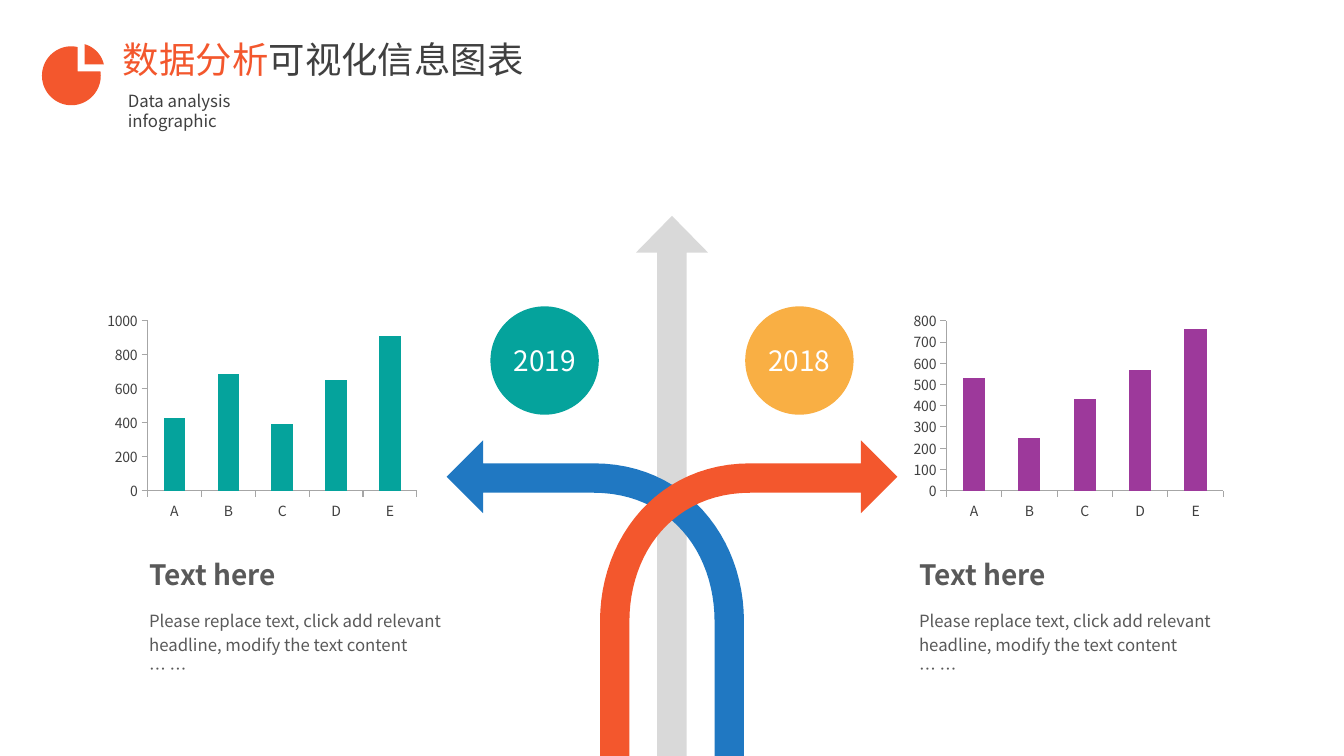
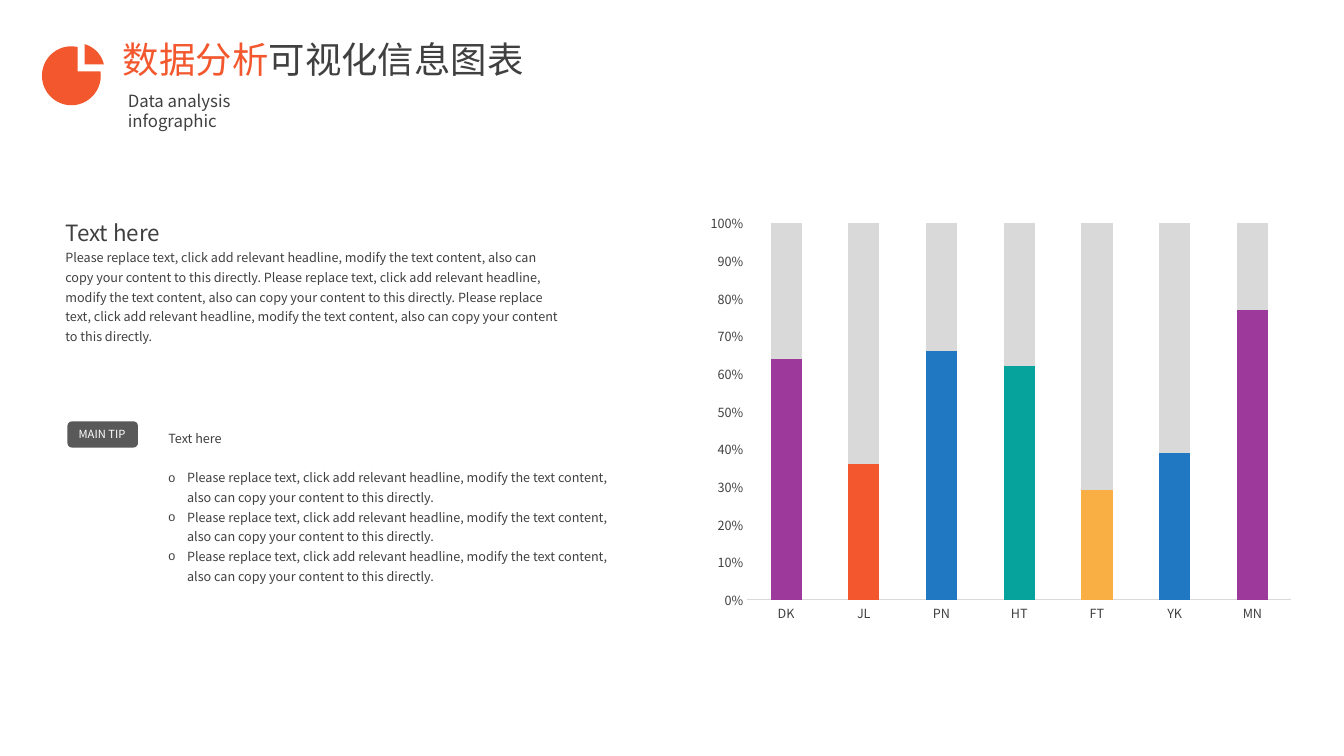
from lxml.etree import SubElement
from pptx import Presentation
from pptx.chart.data import CategoryChartData
from pptx.dml.color import RGBColor
from pptx.enum.chart import XL_CHART_TYPE, XL_TICK_MARK
from pptx.enum.shapes import MSO_SHAPE
from pptx.enum.text import MSO_ANCHOR, MSO_AUTO_SIZE, PP_ALIGN
from pptx.oxml.ns import qn
from pptx.util import Pt

FONT = "Noto Sans CJK SC"
ORANGE, BLUE, TEAL = "F3572D", "2078C2", "05A39C"
AMBER, PURPLE, WHITE = "F9AF44", "9D399B", "FFFFFF"
DARK, GREY, AXIS, LIGHT = "404040", "595959", "A6A6A6", "D9D9D9"
MIDDLE_X, BOTTOM_Y = 480, 540
TITLE_ONLY, TITLE_AND_BODY = 5, 1

REPLACE = "Please replace text, click add relevant headline, modify the text content"
COPY = REPLACE + ", also can copy your content to this directly."


def paint(target, color):
    """Give a fill, or the fill of a line, one solid colour."""
    target.solid()
    target.fore_color.rgb = RGBColor.from_string(color)


def box(left, top, width, height):
    return Pt(left), Pt(top), Pt(width), Pt(height)


def curve(start, control1, control2, end, steps=24):
    """Points along a cubic curve."""
    points = []
    for step in range(steps + 1):
        t = step / steps
        u = 1 - t
        weights = (u ** 3, 3 * u * u * t, 3 * u * t * t, t ** 3)
        corners = (start, control1, control2, end)
        points.append(tuple(sum(w * c[axis] for w, c in zip(weights, corners))
                            for axis in (0, 1)))
    return points


def write(frame, *paragraphs, size=12, color=DARK, bold=False, spacing=None,
          align=PP_ALIGN.LEFT, anchor=MSO_ANCHOR.TOP, wrap=True, margin=7.2):
    """Fill a frame; a paragraph is a string or a list of (text, size, color)."""
    frame.word_wrap = wrap
    frame.auto_size = MSO_AUTO_SIZE.NONE
    frame.vertical_anchor = anchor
    frame.margin_left = frame.margin_right = Pt(margin)
    for index, content in enumerate(paragraphs):
        paragraph = frame.add_paragraph() if index else frame.paragraphs[0]
        paragraph.alignment = align
        paragraph.space_before = Pt(0)
        if spacing:
            paragraph.line_spacing = spacing
        runs = [(content, size, color)] if isinstance(content, str) else content
        for text, run_size, run_color in runs:
            run = paragraph.add_run()
            run.text = text
            run.font.size = Pt(run_size)
            run.font.bold = bold
            run.font.name = FONT
            paint(run.font.fill, run_color)
            SubElement(run._r.get_or_add_rPr(), qn("a:ea"), typeface=FONT)


class Deck:
    """The presentation, its style and the current slide."""

    def __init__(self):
        self.presentation = Presentation()
        self.presentation.slide_width = Pt(960)
        self.presentation.slide_height = Pt(BOTTOM_Y)
        self.slide = None

    def add_slide(self, layout):
        layouts = self.presentation.slide_layouts
        self.slide = self.presentation.slides.add_slide(layouts[layout])
        self.header()

    def header(self):
        """Pie icon, two-colour title and subtitle."""
        pie = (curve((55.4, 33.7), (54, 33.3), (52.6, 33.1), (51, 33.1))
               + curve((51, 33.1), (39.4, 33.1), (30, 42.5), (30, 54.1))
               + curve((30, 54.1), (30, 65.7), (39.4, 75.2), (51, 75.2))
               + curve((51, 75.2), (62.6, 75.2), (72, 65.7), (72, 54.1))
               + [(71.8, 51.1), (55.4, 51.1)])
        wedge = curve((60.5, 31.6), (67.4, 33.6), (72.7, 39.2), (74.2, 46.1))
        self.outline(ORANGE, pie, wedge + [(60.5, 46.1)])
        title = self.slide.shapes.title
        title.left, title.top, title.width, title.height = box(80.6, 22.3, 340, 39)
        write(title.text_frame,
              [("数据分析", 26, ORANGE), ("可视化信息图表", 26, DARK)],
              anchor=MSO_ANCHOR.MIDDLE)
        self.text((84.2, 61.2, 110, 36), "Data analysis infographic")

    def text(self, place, *paragraphs, **style):
        shape = self.slide.shapes.add_textbox(*box(*place))
        write(shape.text_frame, *paragraphs, **style)

    def shape(self, kind, place, color, label=None, adjustments=(), **style):
        shape = self.slide.shapes.add_shape(kind, *box(*place))
        self.finish(shape, color)
        for index, value in enumerate(adjustments):
            shape.adjustments[index] = value
        if label:
            write(shape.text_frame, label, color=WHITE, wrap=False,
                  anchor=MSO_ANCHOR.MIDDLE, **style)

    def outline(self, color, *contours):
        """A filled outline of one or more closed contours."""
        builder = None
        for contour in contours:
            points = [(Pt(x), Pt(y)) for x, y in contour]
            if builder is None:
                builder = self.slide.shapes.build_freeform(*points[0])
            else:
                builder.move_to(*points[0])
            builder.add_line_segments(points[1:], close=True)
        self.finish(builder.convert_to_shape(), color)

    def finish(self, shape, color):
        shape.shadow.inherit = False
        paint(shape.fill, color)
        shape.line.fill.background()

    def bent_arrow(self, side, color):
        """Arrow rising from the bottom and bending to side -1 or 1."""
        contour = [(135, 331), (135, 314.6), (161, 340.6), (135, 366.5), (135, 352)]
        contour += curve((56, 352), (2, 352), (-30.4, 393.8), (-30.4, 444))
        contour += [(-30.4, BOTTOM_Y), (-51.4, BOTTOM_Y)]
        contour += curve((-51.4, 444), (-51.4, 383), (-9, 331), (56, 331))
        self.outline(color, [(MIDDLE_X + side * x, y) for x, y in contour])

    def bullets(self, place, heading, *items):
        """Heading and bulleted list in the body placeholder."""
        body = self.slide.placeholders[1]
        body.left, body.top, body.width, body.height = box(*place)
        write(body.text_frame, heading, *items, size=9, spacing=1.3)
        first, *rest = body.text_frame.paragraphs
        rest[0].space_before = Pt(14)
        for paragraph in (first, *rest):
            listed = paragraph is not first
            indent = Pt(13.5) if listed else 0
            properties = paragraph._p.get_or_add_pPr()
            properties.set("marL", str(indent))
            properties.set("indent", str(-indent))
            if listed:
                SubElement(properties, qn("a:buChar"), char="o")
            else:
                SubElement(properties, qn("a:buNone"))

    def chart(self, kind, place, categories, series, size, line, tick,
              step=None, top=None, number_format="General", value_line=True):
        """Stacked columns; series maps a name to (values, colour or colours)."""
        data = CategoryChartData()
        data.categories = categories
        for name, (values, _) in series.items():
            data.add_series(name, values)
        chart = self.slide.shapes.add_chart(kind, *box(*place), data).chart
        chart.has_legend = chart.has_title = False
        chart.font.size = Pt(size)
        chart.font.name = FONT
        paint(chart.font.fill, DARK)
        plot = chart.plots[0]
        plot.gap_width, plot.overlap = 150, 100
        plot.vary_by_categories = False
        for column, (_, colors) in zip(plot.series, series.values()):
            if isinstance(colors, str):
                paint(column.format.fill, colors)
            else:
                for index, color in enumerate(colors):
                    paint(column.points[index].format.fill, color)
        for axis in (chart.category_axis, chart.value_axis):
            axis.has_major_gridlines = False
            axis.major_tick_mark = tick
            axis.minor_tick_mark = XL_TICK_MARK.NONE
            axis.format.line.width = Pt(0.75)
            paint(axis.format.line.fill, line)
        value_axis = chart.value_axis
        value_axis.tick_labels.number_format = number_format
        value_axis.tick_labels.number_format_is_linked = False
        if top:
            value_axis.minimum_scale, value_axis.maximum_scale = 0, top
            value_axis.major_unit = step
        if not value_line:
            value_axis.format.line.fill.background()


def arrows_slide(deck):
    deck.add_slide(TITLE_ONLY)

    # Three arrows
    deck.shape(MSO_SHAPE.UP_ARROW, (MIDDLE_X - 25.7, 154.2, 51.4, 385.8), LIGHT,
               adjustments=(0.41, 0.51))
    deck.bent_arrow(-1, BLUE)
    deck.bent_arrow(1, ORANGE)

    # Year, chart and text on each side
    sides = [
        (-1, "2019", AMBER and TEAL, TEAL, 72, 99.4, [430, 690, 390, 650, 910], 1000, 200),
        (1, "2018", AMBER, PURPLE, 648, 649.4, [530, 250, 430, 570, 760], 800, 100),
    ]
    for side, year, circle, columns, chart_x, text_x, values, top, step in sides:
        deck.shape(MSO_SHAPE.OVAL, (MIDDLE_X + side * 91 - 38.7, 218.8, 77.4, 77.4),
                   circle, year, size=20, align=PP_ALIGN.CENTER, margin=0)
        deck.chart(XL_CHART_TYPE.COLUMN_STACKED, (chart_x, 219, 230.4, 156),
                   list("ABCDE"), {"Series 1": (values, columns)}, size=10,
                   line=AXIS, tick=XL_TICK_MARK.OUTSIDE, top=top, step=step)
        deck.text((text_x, 390.2, 231, 39.6), "Text here", size=20, color=GREY,
                  bold=True, anchor=MSO_ANCHOR.MIDDLE)
        deck.text((text_x, 429.8, 231, 65.5), REPLACE, "… …", color=GREY, spacing=1.2)


def shares_slide(deck):
    deck.add_slide(TITLE_AND_BODY)

    # Share chart
    shares = [64, 36, 66, 62, 29, 39, 77]
    colors = [PURPLE, ORANGE, BLUE, TEAL, AMBER, BLUE, PURPLE]
    deck.chart(XL_CHART_TYPE.COLUMN_STACKED_100, (499, 147, 432, 303),
               ["DK", "JL", "PN", "HT", "FT", "YK", "MN"],
               {"Series 1": (shares, colors),
                "Series 2": ([100 - share for share in shares], LIGHT)},
               size=9, line=LIGHT, tick=XL_TICK_MARK.NONE,
               number_format="0%", value_line=False)

    # Introduction
    deck.text((39.6, 147, 366.5, 102), [("Text here", 16, DARK)],
              " ".join([COPY] * 3), size=9, spacing=1.3)

    # Main tip and its list
    deck.bullets((113, 301, 332.6, 119.5), "Text here", COPY, COPY, COPY)
    deck.shape(MSO_SHAPE.ROUNDED_RECTANGLE, (48.2, 301, 50.4, 18.7), GREY,
               "MAIN TIP", size=8)


def main():
    deck = Deck()
    arrows_slide(deck)
    shares_slide(deck)
    deck.presentation.save("out.pptx")


if __name__ == "__main__":
    main()
